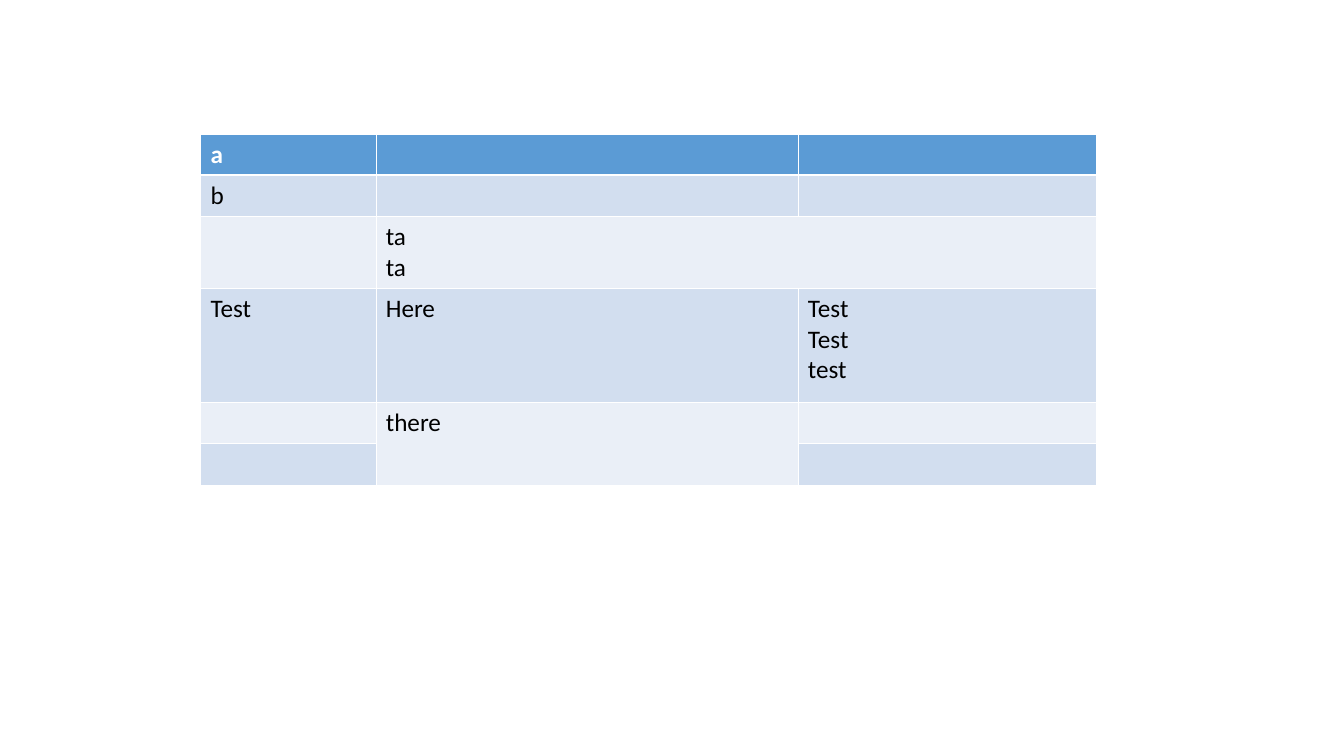
import pptx
import pptx.dml.color
import pptx.oxml.ns
import pptx.util
from lxml import etree

PX = 9144  # EMU per px, 100 px to the inch
COLORS = {"header": "5B9BD5", "odd": "D2DEEF", "even": "EAEFF7",
          "white": "FFFFFF", "black": "000000"}
FONT = "Calibri"
THIN, THICK = 0.45, 1.47

COLUMNS = [174, 419, 296]
ROWS = [
    (41, ["a", "", ""]),
    (41, ["b", "", ""]),
    (71, ["", "ta\nta", ""]),
    (113, ["Test", "Here", "Test\nTest\ntest"]),
    (41, ["", "there", ""]),
    (41, ["", "", ""]),
]
MERGES = [((2, 1), (2, 2)), ((4, 1), (5, 1))]


def rgb(name):
    return pptx.dml.color.RGBColor.from_string(COLORS[name])


def write_text(tf, text, size=18, color="black", bold=False):
    for i, line in enumerate(text.split("\n")):
        p = tf.paragraphs[0] if i == 0 else tf.add_paragraph()
        p.font.size = pptx.util.Pt(size)
        if line:
            r = p.add_run()
            r.text = line
            r.font.name = FONT
            r.font.size = pptx.util.Pt(size)
            r.font.bold = bold
            r.font.color.rgb = rgb(color)


def set_borders(cell, color="white", **widths):
    """Draw the borders; widths maps L, R, T and B to points."""
    qn = pptx.oxml.ns.qn
    tc_pr = cell._tc.get_or_add_tcPr()
    for side, width in widths.items():
        ln = etree.SubElement(tc_pr, qn(f"a:ln{side}"), w=str(pptx.util.Pt(width)))
        fill = etree.SubElement(ln, qn("a:solidFill"))
        etree.SubElement(fill, qn("a:srgbClr"), val=COLORS[color])


def add_grid(s, x, y):
    width, height = sum(COLUMNS), sum(h for h, _ in ROWS)
    frame = s.shapes.add_table(len(ROWS), len(COLUMNS),
                               x * PX, y * PX, width * PX, height * PX)
    table = frame.table
    for column, w in zip(table.columns, COLUMNS):
        column.width = w * PX
    for i, (h, texts) in enumerate(ROWS):
        table.rows[i].height = h * PX
        header = i == 0
        band = "header" if header else "odd" if i % 2 else "even"
        for j, text in enumerate(texts):
            cell = table.cell(i, j)
            set_borders(cell, L=THIN, R=THIN,
                        T=THICK if i == 1 else THIN,
                        B=THICK if header else THIN)
            cell.fill.solid()
            cell.fill.fore_color.rgb = rgb(band)
            write_text(cell.text_frame, text, bold=header,
                       color="white" if header else "black")
    for first, last in MERGES:
        table.cell(*first).merge(table.cell(*last))


def main():
    prs = pptx.Presentation()
    prs.slide_width, prs.slide_height = 1334 * PX, 750 * PX
    s = prs.slides.add_slide(prs.slide_layouts[6])
    add_grid(s, 199, 133)
    prs.save("out.pptx")


if __name__ == "__main__":
    main()
